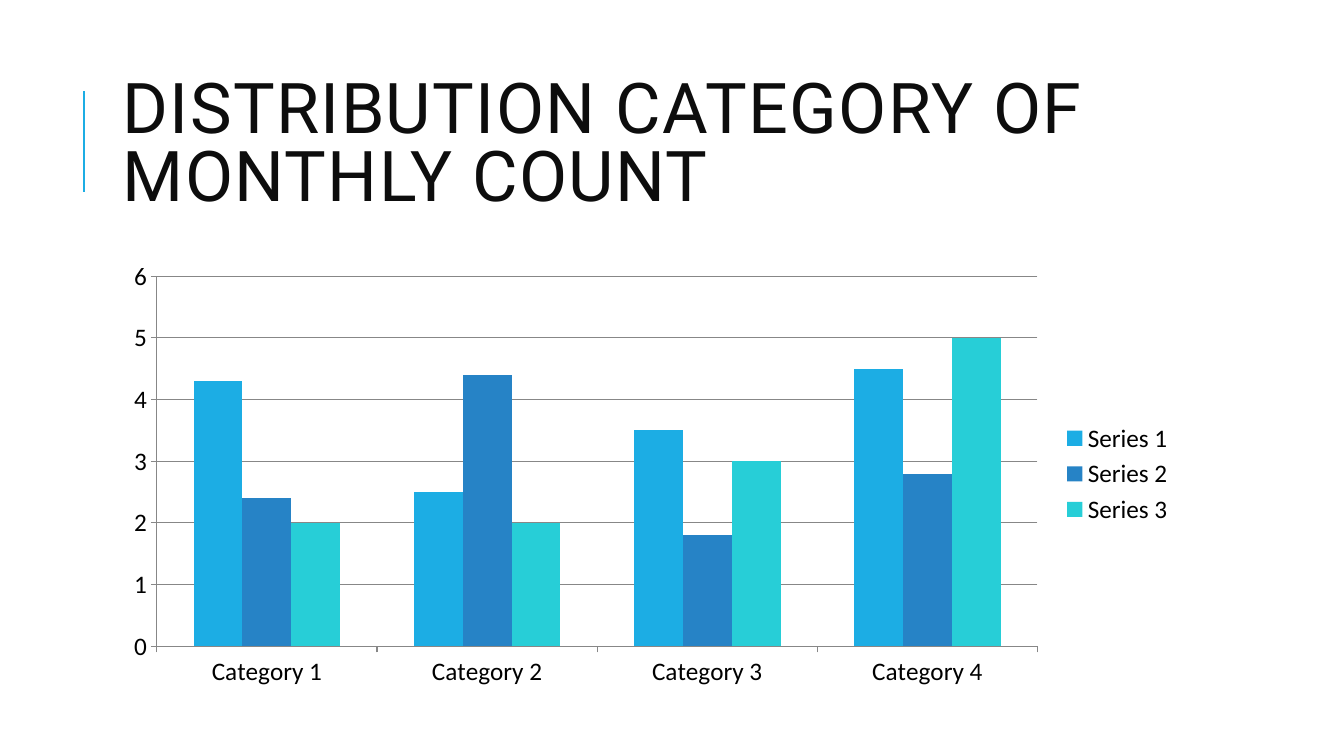
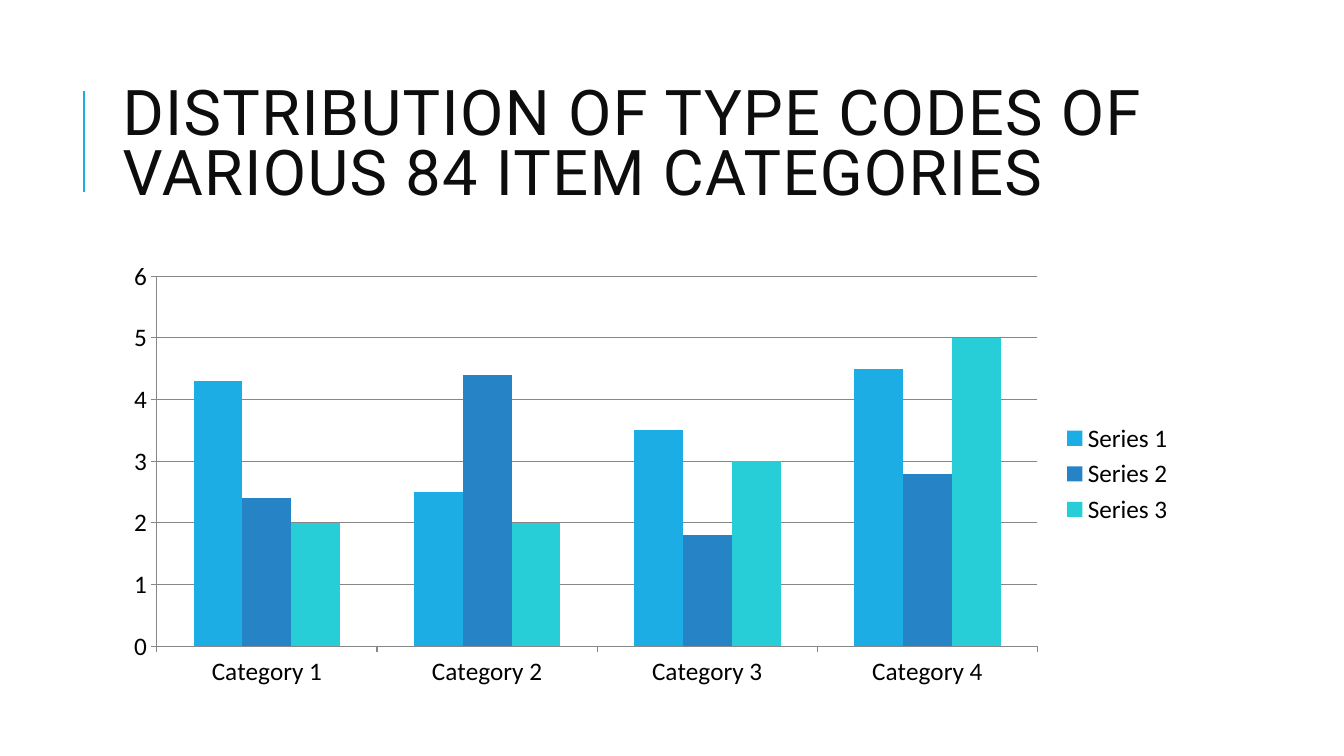
from lxml import etree
from pptx import Presentation
from pptx import util as u
from pptx.chart.data import CategoryChartData
from pptx.dml.color import RGBColor
from pptx.enum import chart as charts, shapes, text
from pptx.oxml.ns import qn

TITLES = [
    ("DISTRIBUTION CATEGORY OF MONTHLY COUNT", 50),
    ("DISTRIBUTION OF TYPE CODES OF VARIOUS 84 ITEM CATEGORIES", 45),
]
CATEGORIES = ["Category 1", "Category 2", "Category 3", "Category 4"]
SERIES = [
    ("Series 1", (4.3, 2.5, 3.5, 4.5), "1CADE4"),
    ("Series 2", (2.4, 4.4, 1.8, 2.8), "2683C6"),
    ("Series 3", (2, 2, 3, 5), "27CED7"),
]

ACCENT, TITLE_COLOUR, CHART_TEXT, GRID = "1CADE4", "0D0D0D", "000000", "878787"
SLIDE_SIZE = (33.87, 19.05)
CONTENT_LEFT, CONTENT_WIDTH = 2.84, 27
TITLE_TOP, TITLE_HEIGHT = 1.63, 4.17
CHART_TOP, CHART_HEIGHT = 6.35, 11.18
RULE_LEFT, RULE_TOP, RULE_BOTTOM = 2.12, 2.29, 4.83
LETTER_SPACING = 100  # hundredths of a point

TITLE_FRAME = {"word_wrap": True, "auto_size": text.MSO_AUTO_SIZE.NONE,
               "vertical_anchor": text.MSO_ANCHOR.MIDDLE}
VALUE_AXIS = {"minimum_scale": 0, "maximum_scale": 6, "major_unit": 1,
              "has_major_gridlines": True}
LEGEND = {"position": charts.XL_LEGEND_POSITION.RIGHT,
          "include_in_layout": False}
BARS = {"gap_width": 150, "overlap": 0, "vary_by_categories": False}


def colour(hex_value):
    """Return the colour for a hex string."""
    return RGBColor.from_string(hex_value)


def apply(target, values):
    """Set each named attribute on the target."""
    for name, value in values.items():
        setattr(target, name, value)


def style_font(font, name, size, hex_value):
    """Give a font its face, size in points and colour."""
    apply(font, {"name": name, "size": u.Pt(size)})
    font.color.rgb = colour(hex_value)


def style_line(line, hex_value, width):
    """Give a line its colour and width in points."""
    line.color.rgb = colour(hex_value)
    line.width = u.Pt(width)


def add_rule(slide):
    """Draw the upright accent rule beside the title."""
    rule = slide.shapes.add_connector(
        shapes.MSO_CONNECTOR.STRAIGHT,
        *map(u.Cm, (RULE_LEFT, RULE_BOTTOM, RULE_LEFT, RULE_TOP)))
    style_line(rule.line, ACCENT, 1.5)
    etree.SubElement(rule._element.spPr, qn("a:effectLst"))


def add_title(slide, title, size):
    """Write the widely spaced title."""
    box = slide.shapes.add_textbox(
        *map(u.Cm, (CONTENT_LEFT, TITLE_TOP, CONTENT_WIDTH, TITLE_HEIGHT)))
    apply(box.text_frame, TITLE_FRAME)
    paragraph = box.text_frame.paragraphs[0]
    paragraph.line_spacing = 0.8
    run = paragraph.add_run()
    run.text = title
    style_font(run.font, "Roboto", size, TITLE_COLOUR)
    run._r.get_or_add_rPr().set("spc", str(LETTER_SPACING))


def add_column_chart(slide):
    """Add the clustered columns with axes and legend."""
    data = CategoryChartData()
    data.categories = CATEGORIES
    for name, values, _ in SERIES:
        data.add_series(name, values)
    chart = slide.shapes.add_chart(
        charts.XL_CHART_TYPE.COLUMN_CLUSTERED,
        *map(u.Cm, (CONTENT_LEFT, CHART_TOP, CONTENT_WIDTH, CHART_HEIGHT)),
        data).chart
    apply(chart, {"has_title": False, "has_legend": True})
    style_font(chart.font, "Calibri", 18, CHART_TEXT)
    apply(chart.legend, LEGEND)
    apply(chart.value_axis, VALUE_AXIS)
    for axis in (chart.category_axis, chart.value_axis):
        axis.major_tick_mark = charts.XL_TICK_MARK.OUTSIDE
        style_line(axis.format.line, GRID, 0.75)
    style_line(chart.value_axis.major_gridlines.format.line, GRID, 0.75)
    plot = chart.plots[0]
    apply(plot, BARS)
    for series, (_, _, hex_value) in zip(plot.series, SERIES):
        series.format.fill.solid()
        series.format.fill.fore_color.rgb = colour(hex_value)


presentation = Presentation()
presentation.slide_width, presentation.slide_height = map(u.Cm, SLIDE_SIZE)
for title, size in TITLES:
    slide = presentation.slides.add_slide(presentation.slide_layouts[6])
    add_rule(slide)
    add_title(slide, title, size)
    add_column_chart(slide)
presentation.save("out.pptx")
